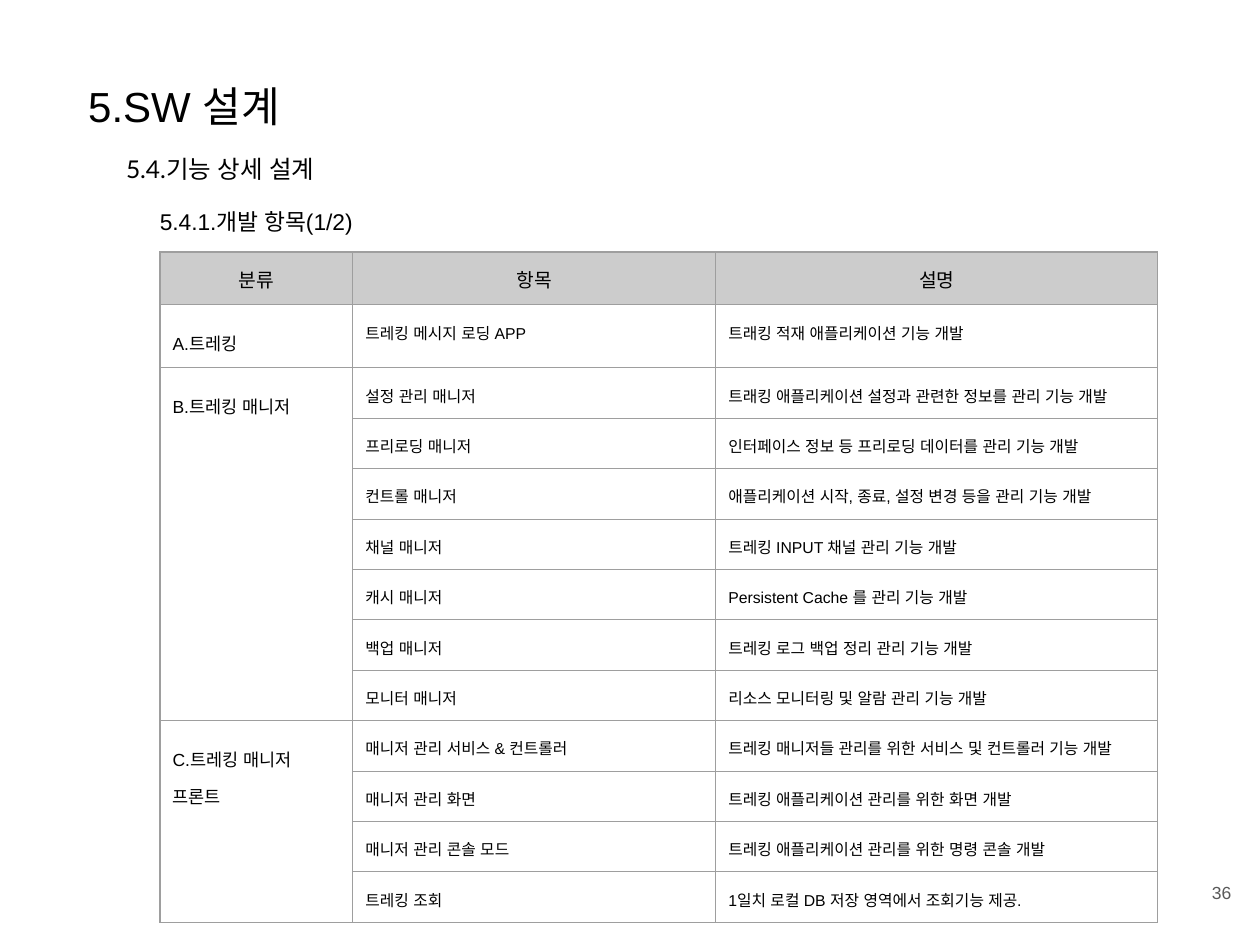
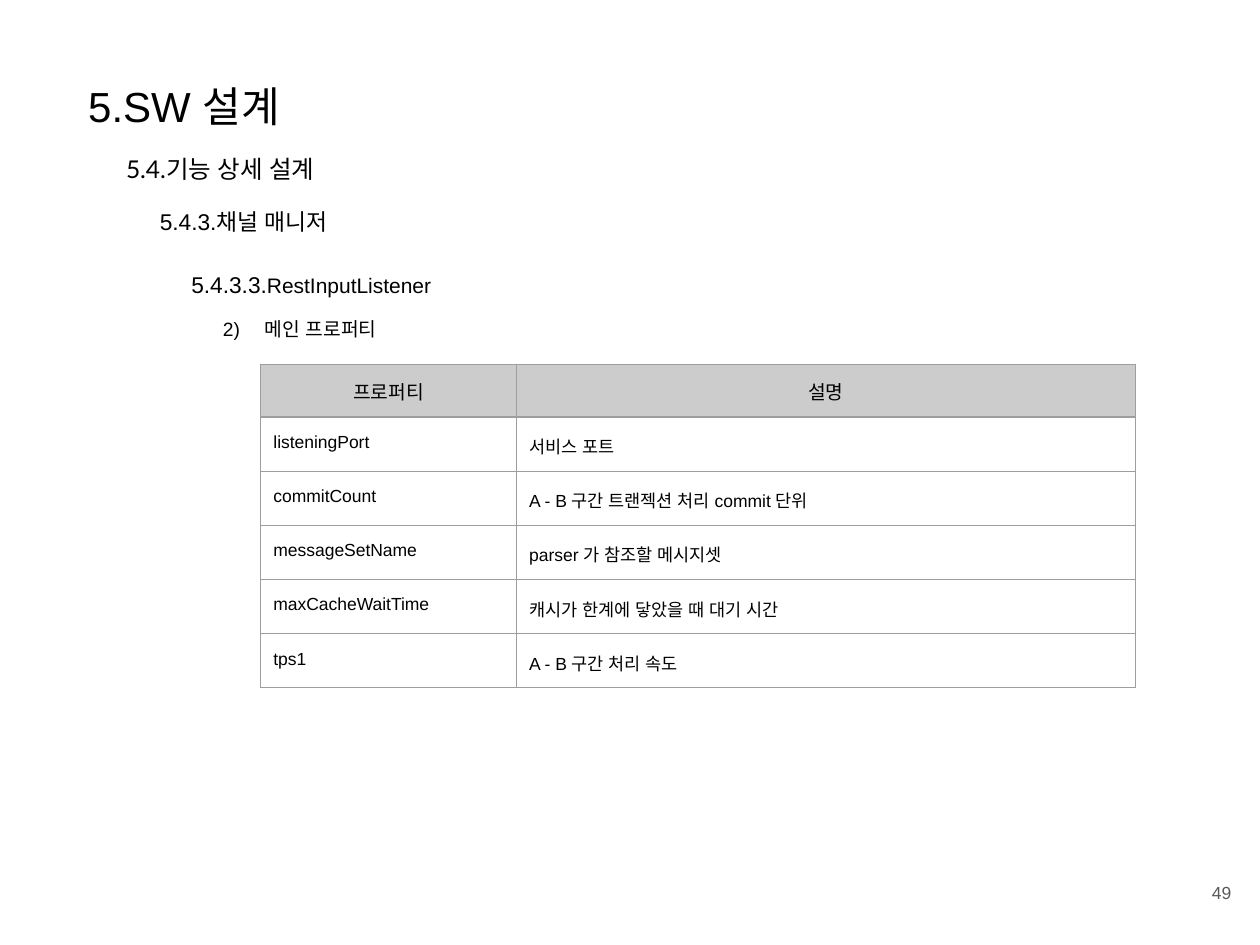
import pptx
import pptx.dml.color
import pptx.enum.lang
import pptx.enum.text
import pptx.oxml
import pptx.oxml.ns
import pptx.util
from lxml import etree

Inches = pptx.util.Inches
Pt = pptx.util.Pt
RGB = pptx.dml.color.RGBColor.from_string
ALIGN = pptx.enum.text.PP_ALIGN
ANCHOR = pptx.enum.text.MSO_ANCHOR
KOREAN = pptx.enum.lang.MSO_LANGUAGE_ID.KOREAN
qn = pptx.oxml.ns.qn

COLORS = {"text": "000000", "number": "595959", "header": "CCCCCC", "border": "9E9E9E"}
SECTION = "5.SW 설계"
SUBSECTION = "5.4.기능 상세 설계"
BORDER_XML = (
    '<a:{side} xmlns:a="http://schemas.openxmlformats.org/drawingml/2006/main" w="9525">'
    '<a:solidFill><a:srgbClr val="{color}"/></a:solidFill></a:{side}>'
)


def write(holder, spans, spacing=None, align=ALIGN.LEFT, after=0, font="Arial",
          color="text", anchor=ANCHOR.TOP, east_asian=True):
    holder.margin_left = holder.margin_right = Inches(0.1)
    holder.margin_top = holder.margin_bottom = Inches(0.1)
    holder.vertical_anchor = anchor
    holder.word_wrap = True
    frame = getattr(holder, "text_frame", holder)
    para = frame.paragraphs[0]
    para.alignment = align
    para.space_before = Pt(0)
    para.space_after = Pt(after)
    if spacing:
        para.line_spacing = spacing
    for text, size in spans:
        span = para.add_run()
        span.text = text
        span.font.size = Pt(size)
        span.font.bold = False
        span.font.name = font
        span.font.language_id = KOREAN
        span.font.color.rgb = RGB(COLORS[color])
        if east_asian:
            etree.SubElement(span.font._element, qn("a:ea"), typeface=font)
    return para


def add_grid(page, left, top, widths, heights, header, rows, first_style, other_style):
    table = page.shapes.add_table(
        len(heights), len(widths), Inches(left), Inches(top),
        Inches(sum(widths)), Inches(sum(heights))).table
    table.first_row = table.horz_banding = False
    for column, width in zip(table.columns, widths):
        column.width = Inches(width)
    for row, height in zip(table.rows, heights):
        row.height = Inches(height)
    for r, texts in enumerate([header] + rows):
        for c, text in enumerate(texts):
            cell = table.cell(r, c)
            properties = cell._tc.get_or_add_tcPr()
            for side in ("lnL", "lnR", "lnT", "lnB"):
                properties.append(pptx.oxml.parse_xml(
                    BORDER_XML.format(side=side, color=COLORS["border"])))
            if r == 0:
                write(cell, [(text, 11)], align=ALIGN.CENTER, east_asian=False)
                cell.fill.solid()
                cell.fill.fore_color.rgb = RGB(COLORS["header"])
            else:
                size, spacing = first_style if c == 0 else other_style
                if text:
                    write(cell, [(text, size)], spacing, east_asian=False)
                cell.fill.background()
    return table


item_groups = [
    ("A.트레킹", [
        ("트레킹 메시지 로딩 APP", "트래킹 적재 애플리케이션 기능 개발"),
    ]),
    ("B.트레킹 매니저", [
        ("설정 관리 매니저", "트래킹 애플리케이션 설정과 관련한 정보를 관리 기능 개발"),
        ("프리로딩 매니저", "인터페이스 정보 등 프리로딩 데이터를 관리 기능 개발"),
        ("컨트롤 매니저", "애플리케이션 시작, 종료, 설정 변경 등을 관리 기능 개발"),
        ("채널 매니저", "트레킹 INPUT 채널 관리 기능 개발"),
        ("캐시 매니저", "Persistent Cache 를 관리 기능 개발"),
        ("백업 매니저", "트레킹 로그 백업 정리 관리 기능 개발"),
        ("모니터 매니저", "리소스 모니터링 및 알람 관리 기능 개발"),
    ]),
    ("C.트레킹 매니저 프론트", [
        ("매니저 관리 서비스 & 컨트롤러", "트레킹 매니저들 관리를 위한 서비스 및 컨트롤러 기능 개발"),
        ("매니저 관리 화면", "트레킹 애플리케이션 관리를 위한 화면 개발"),
        ("매니저 관리 콘솔 모드", "트레킹 애플리케이션 관리를 위한 명령 콘솔 개발"),
        ("트레킹 조회", "1일치 로컬 DB 저장 영역에서 조회기능 제공."),
    ]),
]
main_properties = [
    ("listeningPort", "서비스 포트"),
    ("commitCount", "A - B 구간 트랜젝션 처리 commit 단위"),
    ("messageSetName", "parser 가 참조할 메시지셋"),
    ("maxCacheWaitTime", "캐시가 한계에 닿았을 때 대기 시간"),
    ("tps1", "A - B 구간 처리 속도"),
]

deck = pptx.Presentation()
deck.slide_width = Inches(10)
deck.slide_height = Inches(7.5)

pages = []
for number, topic in [("36", "5.4.1.개발 항목(1/2)"), ("49", "5.4.3.채널 매니저")]:
    page = deck.slides.add_slide(deck.slide_layouts[1])
    title, subtitle = page.placeholders
    for box, area in [(title, (0.6, 0.54, 8.52, 0.54)), (subtitle, (0.9, 1.09, 5.6, 0.47))]:
        box.left, box.top, box.width, box.height = map(Inches, area)
        box.text_frame.auto_size = pptx.enum.text.MSO_AUTO_SIZE.NONE
    write(title.text_frame, [(SECTION, 24)], after=16)
    para = write(subtitle.text_frame, [(SUBSECTION, 14)], 1.15, after=16, font="Lato")
    paragraph_format = para._p.get_or_add_pPr()
    paragraph_format.set("marL", "0")
    paragraph_format.set("indent", "0")
    etree.SubElement(paragraph_format, qn("a:buNone"))

    box = page.shapes.add_textbox(Inches(9.27), Inches(6.8), Inches(0.6), Inches(0.57))
    write(box.text_frame, [(number, 10)], align=ALIGN.RIGHT, color="number", anchor=ANCHOR.MIDDLE)
    box = page.shapes.add_textbox(Inches(1.17), Inches(1.52), Inches(6.04), Inches(0.47))
    write(box.text_frame, [(topic, 13)], 1.15)
    pages.append(page)

items_page, properties_page = pages

item_rows = []
for group, items in item_groups:
    for index, (item, description) in enumerate(items):
        item_rows.append(("" if index else group, item, description))
items_table = add_grid(
    items_page, 1.27, 2, [1.53, 2.88, 3.51], [0.42, 0.5] + [0.4] * 11,
    ("분류", "항목", "설명"), item_rows, (10, 1.5), (9, 1.15))
start = 1
for group, items in item_groups:
    end = start + len(items) - 1
    if end > start:
        items_table.cell(start, 0).merge(items_table.cell(end, 0))
    start = end + 1

box = properties_page.shapes.add_textbox(Inches(1.17), Inches(2.02), Inches(6.04), Inches(0.47))
para = write(box.text_frame, [("5.4.3.3.", 13), ("RestInputListener", 12)], 1.15)
para._p.get_or_add_pPr().set("marL", str(Inches(0.25)))

box = properties_page.shapes.add_textbox(Inches(1.5), Inches(2.39), Inches(8.28), Inches(0.47))
para = write(box.text_frame, [("메인 프로퍼티", 11)], 1.15)
paragraph_format = para._p.get_or_add_pPr()
paragraph_format.set("marL", str(Inches(0.5)))
paragraph_format.set("indent", str(Inches(-0.33)))
bullet_color = etree.SubElement(paragraph_format, qn("a:buClr"))
etree.SubElement(bullet_color, qn("a:srgbClr"), val=COLORS["text"])
etree.SubElement(paragraph_format, qn("a:buFont"), typeface="Lato")
etree.SubElement(paragraph_format, qn("a:buAutoNum"), type="arabicParenR", startAt="2")

add_grid(
    properties_page, 2.07, 2.89, [2.03, 4.91], [0.42] + [0.43] * 5,
    ("프로퍼티", "설명"), main_properties, (10, 1.15), (10, 1.15))

deck.save("out.pptx")
